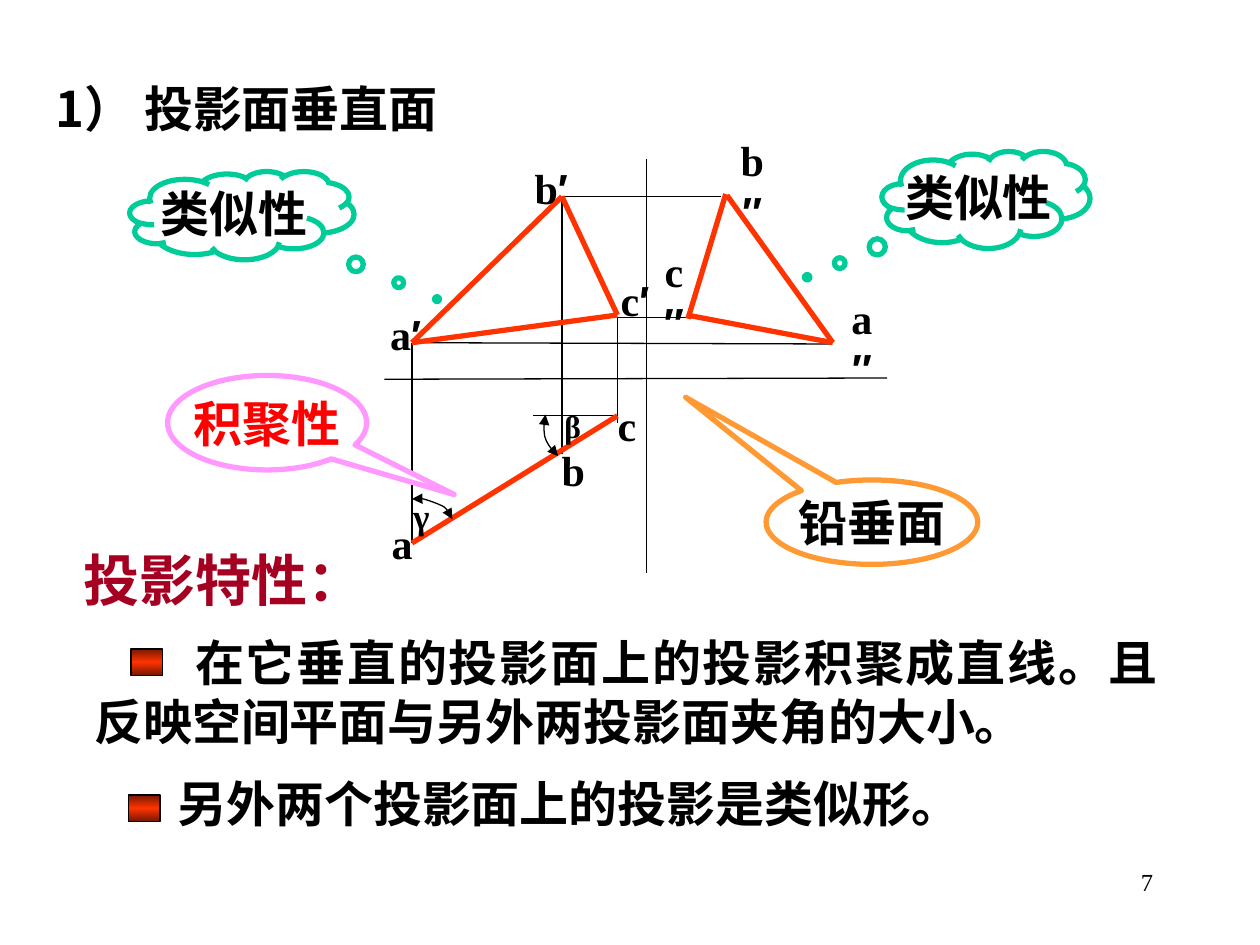
from copy import deepcopy
from pptx import Presentation
from pptx.dml.color import RGBColor
from pptx.enum.shapes import MSO_CONNECTOR, MSO_SHAPE
from pptx.enum.text import MSO_ANCHOR, PP_ALIGN
from pptx.oxml.ns import qn
from pptx.util import Inches, Pt
from lxml.etree import SubElement

BLACK = RGBColor(0, 0, 0)
WHITE = RGBColor(255, 255, 255)
RED = RGBColor(0xFF, 0, 0)
ORANGE_RED = RGBColor(0xFF, 0x33, 0)
DARK_RED = RGBColor(0x76, 0x18, 0)
WINE = RGBColor(0xA5, 0, 0x21)
GREEN = RGBColor(0, 0xCC, 0x99)
PINK = RGBColor(0xFF, 0x99, 0xFF)
ORANGE = RGBColor(0xFF, 0x99, 0x33)
ROMAN, ARIAL, HEI = "Times New Roman", "Arial", "Noto Sans CJK SC"
THIN, THICK = 0.75, 3


class Board:
    """Holds the text style and the current slide."""

    def __init__(self, slide):
        self.shapes = slide.shapes
        self.font = ROMAN

    def style(self, run, size, color=BLACK, font=None, bold=True):
        run.font.name = font or self.font
        run.font.size = Pt(size)
        run.font.bold = bold
        run.font.color.rgb = color

    def text(self, box, words, size, color=BLACK, font=None, bold=True,
             align=PP_ALIGN.LEFT, wrap=True, anchor=MSO_ANCHOR.MIDDLE, indent=0):
        item = self.shapes.add_textbox(*map(Inches, box))
        frame = item.text_frame
        frame.word_wrap = wrap
        frame.vertical_anchor = anchor
        frame.text = words
        para = frame.paragraphs[0]
        para.alignment = align
        if indent:
            para._p.get_or_add_pPr().set("indent", str(Inches(indent)))
        self.style(para.runs[0], size, color, font, bold)
        return para

    def label(self, box, letter, prime="", size=24):
        # A double prime drops below its letter
        para = self.text(box, letter, size, align=PP_ALIGN.CENTER, wrap=prime == "″")
        if prime:
            run = para.add_run()
            run.text = prime
            self.style(run, size, font=ARIAL)

    def line(self, start, end, color=BLACK, width=THIN):
        item = self.shapes.add_connector(
            MSO_CONNECTOR.STRAIGHT, *map(Inches, (*start, *end)))
        item.line.color.rgb = color
        item.line.width = Pt(width)
        SubElement(item._element.spPr, qn("a:effectLst"))

    def bubble(self, kind, box, tip, words, edge, color=BLACK):
        item = self.shapes.add_shape(kind, *map(Inches, box))
        item.shadow.inherit = False
        item.adjustments[0], item.adjustments[1] = tip
        item.fill.solid()
        item.fill.fore_color.rgb = WHITE
        item.line.color.rgb = edge
        item.line.width = Pt(THICK)
        frame = item.text_frame
        frame.word_wrap = False
        frame.vertical_anchor = MSO_ANCHOR.MIDDLE
        frame.text = words
        frame.paragraphs[0].alignment = PP_ALIGN.CENTER
        self.style(frame.paragraphs[0].runs[0], 28, color)

    def arc(self, knots, steps=6):
        # Knots are a start and then three points for each Bezier piece
        dots = []
        for i in range(0, len(knots) - 1, 3):
            piece = knots[i:i + 4]
            for step in range(1, steps + 1):
                t = step / steps
                part = ((1 - t) ** 3, 3 * t * (1 - t) ** 2, 3 * t * t * (1 - t), t ** 3)
                dots.append(tuple(
                    Inches(sum(w * p[axis] for w, p in zip(part, piece)))
                    for axis in (0, 1)))
        pen = self.shapes.build_freeform(*map(Inches, knots[0]))
        pen.add_line_segments(dots, close=False)
        item = pen.convert_to_shape()
        item.shadow.inherit = False
        item.fill.background()
        item.line.color.rgb = BLACK
        item.line.width = Pt(THIN)
        for end in ("a:headEnd", "a:tailEnd"):
            SubElement(item.line._get_or_add_ln(), qn(end), type="triangle")

    def bullet(self, left, top):
        item = self.shapes.add_shape(
            MSO_SHAPE.RECTANGLE, *map(Inches, (left, top, 0.25, 0.21)))
        item.shadow.inherit = False
        item.line.color.rgb = BLACK
        item.line.width = Pt(THIN)
        item.fill.gradient()
        item.fill.gradient_angle = 90
        first, last = item.fill.gradient_stops
        first.color.rgb = last.color.rgb = DARK_RED
        first.position, last.position = 0, 1
        stops = item._element.spPr.find(qn("a:gradFill")).find(qn("a:gsLst"))
        stops.insert(1, deepcopy(stops[0]))
        mid = item.fill.gradient_stops[1]
        mid.color.rgb = ORANGE_RED
        mid.position = 0.5


def main():
    deck = Presentation()
    deck.slide_width, deck.slide_height = Inches(10), Inches(7.5)
    board = Board(deck.slides.add_slide(deck.slide_layouts[6]))

    # Corners of the triangle in the front, side and top views
    a1, b1, c1 = (3.27, 2.72), (4.46, 1.56), (4.9, 2.5)
    a2, b2, c2 = (6.61, 2.72), (5.77, 1.55), (5.45, 2.5)
    a, b, c = (3.27, 4.31), (4.46, 3.6), (4.9, 3.3)

    # Axes and projection lines
    for start, end in (
            ((3.05, 3.01), (7.04, 3)), ((5.13, 1.26), (5.13, 4.55)),
            (a1, (6.59, 2.73)), (b1, (5.72, 1.56)), ((4.9, 2.52), (5.5, 2.52)),
            (a1, a), (b1, b), ((4.9, 2.52), (4.9, 3.36)), (c, (4.23, 3.3))):
        board.line(start, end)

    # Plane in each view
    for start, end in ((a1, c1), (c1, b1), (a1, b1), (b2, a2), (c2, a2),
                       ((5.46, 2.53), (5.76, 1.54)), (a, c)):
        board.line(start, end, ORANGE_RED, THICK)

    # Corner labels
    for left, top, width, letter, prime in (
            (3.01, 4.06, 0.36, "a", ""), (4.36, 3.48, 0.38, "b", ""),
            (4.8, 3.12, 0.35, "c", ""), (2.98, 2.4, 0.48, "a", "′"),
            (4.81, 2.13, 0.46, "c", "′"), (4.13, 1.24, 0.49, "b", "′"),
            (5.1, 2.1, 0.5, "c", "″"), (5.7, 1.22, 0.54, "b", "″"),
            (6.58, 2.47, 0.52, "a", "″")):
        board.label((left, top, width, 0.5), letter, prime)

    # Angles
    board.label((3.18, 3.87, 0.33, 0.44), "γ", size=20)
    board.arc([(3.27, 3.96), (3.29, 3.95), (3.32, 3.95), (3.36, 3.96),
               (3.4, 3.97), (3.48, 4), (3.52, 4.02),
               (3.56, 4.05), (3.57, 4.09), (3.59, 4.12)])
    board.label((4.38, 3.18, 0.33, 0.4), "β", size=18)
    board.arc([(4.33, 3.29), (4.33, 3.31), (4.31, 3.39), (4.32, 3.43),
               (4.32, 3.47), (4.34, 3.51), (4.36, 3.54),
               (4.38, 3.57), (4.42, 3.6), (4.43, 3.62)])

    # Callouts
    cloud, oval = MSO_SHAPE.CLOUD_CALLOUT, MSO_SHAPE.OVAL_CALLOUT
    board.bubble(cloud, (1.03, 1.36, 1.78, 0.7), (0.87, 0.95), "类似性", GREEN)
    board.bubble(cloud, (7, 1.2, 1.65, 0.77), (-0.86, 0.8), "类似性", GREEN)
    board.bubble(oval, (1.33, 2.98, 1.58, 0.75), (0.94, 0.76), "积聚性", PINK, RED)
    board.bubble(oval, (6.08, 3.81, 1.68, 0.67), (-0.88, -1.48), "铅垂面", ORANGE)

    # Headings and properties
    board.text((0.34, 0.57, 4.7, 0.57), "1） 投影面垂直面", 28, font=HEI)
    board.text((0.34, 4.28, 2.42, 0.64), "投影特性：", 32, WINE,
               align=PP_ALIGN.CENTER, wrap=False)
    board.text((0.65, 4.94, 8.64, 1.1),
               "在它垂直的投影面上的投影积聚成直线。且反映空间平面与另外两投影面夹角的大小。",
               28, align=PP_ALIGN.JUSTIFY, indent=0.8)
    board.text((1.31, 6.09, 7.14, 0.57), "另外两个投影面上的投影是类似形。", 28)
    board.bullet(1.04, 5.15)
    board.bullet(1.02, 6.31)

    # Page number
    board.text((7.17, 6.83, 2.08, 0.5), "7", 14, bold=False,
               align=PP_ALIGN.RIGHT, anchor=MSO_ANCHOR.TOP)
    deck.save("out.pptx")


if __name__ == "__main__":
    main()
